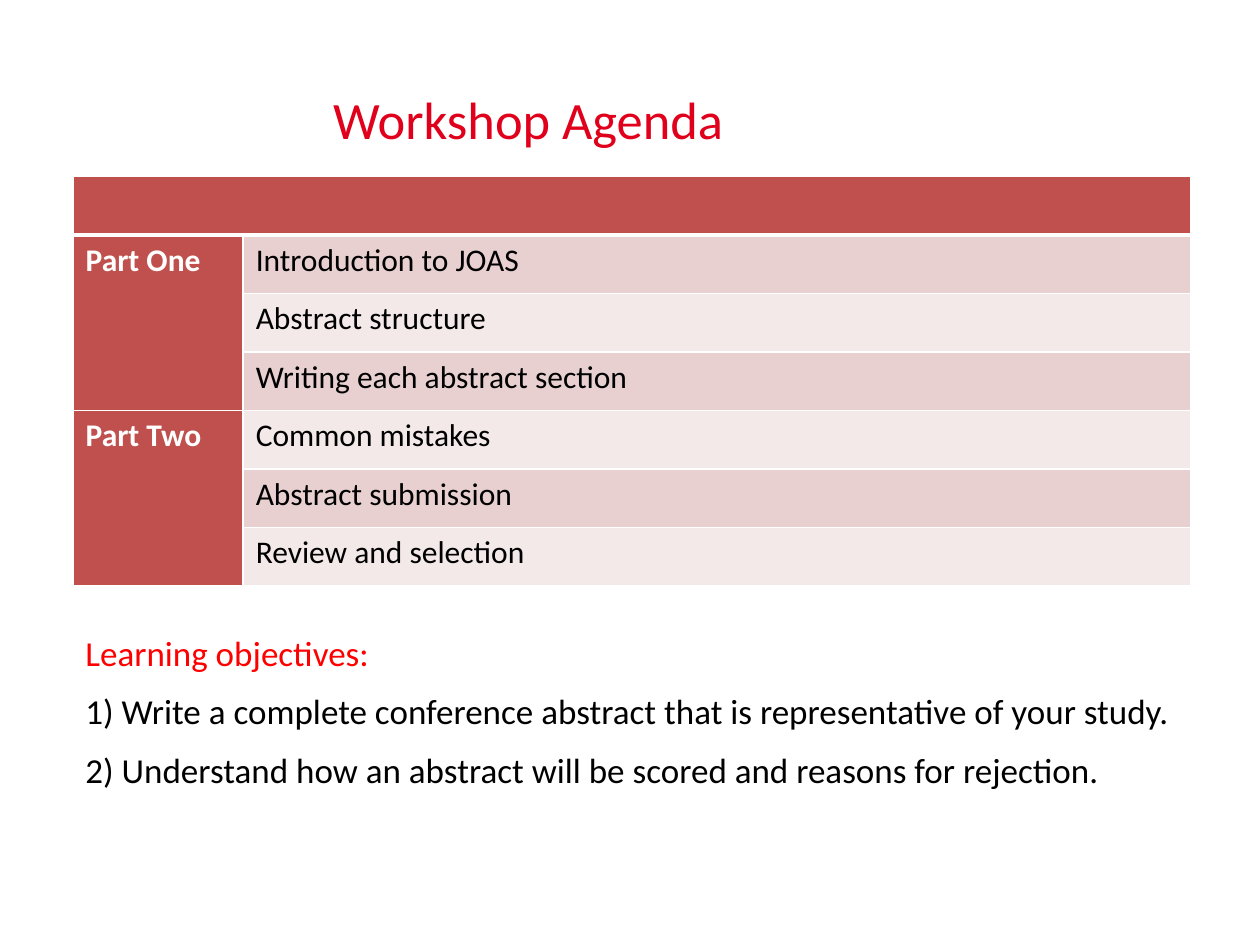
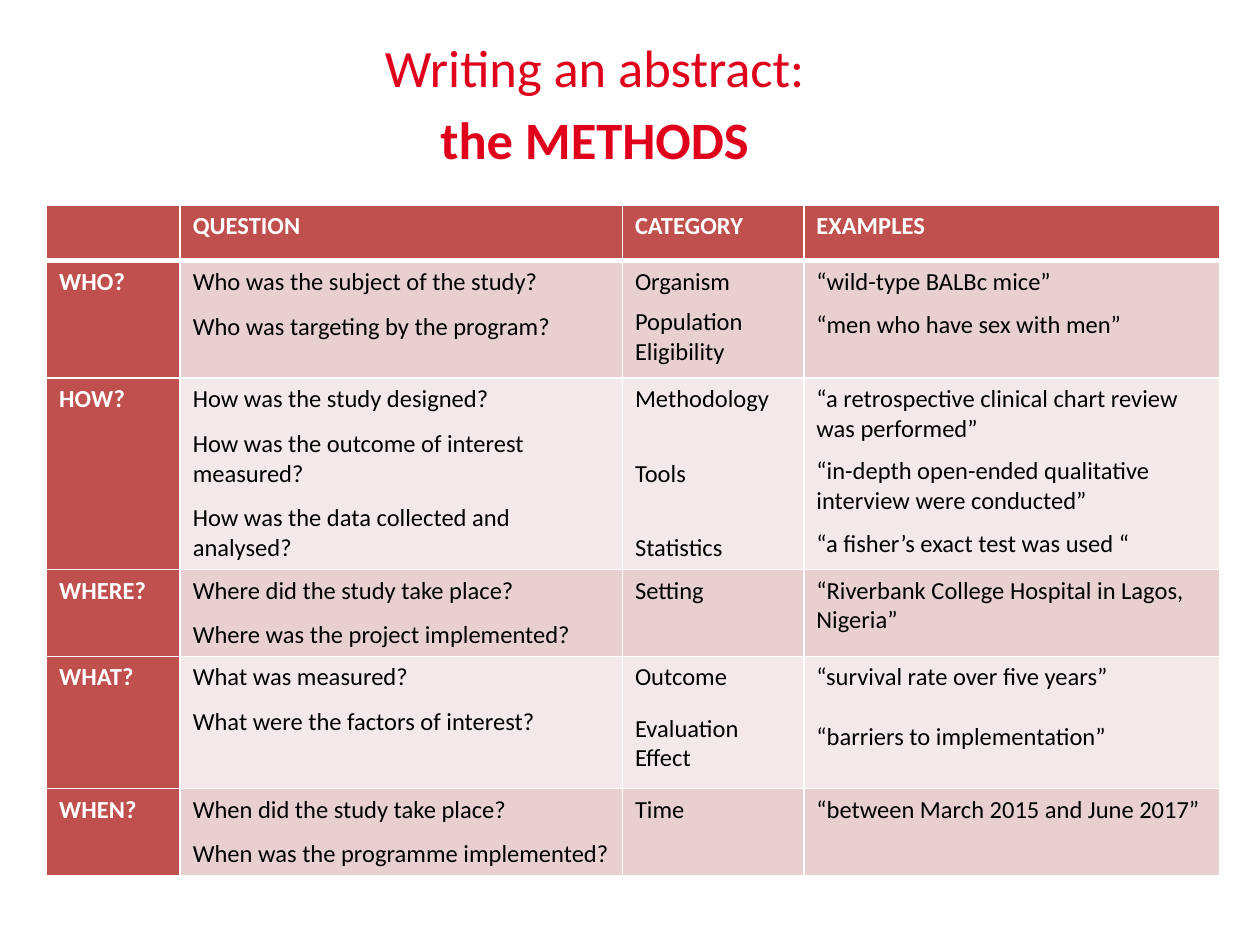
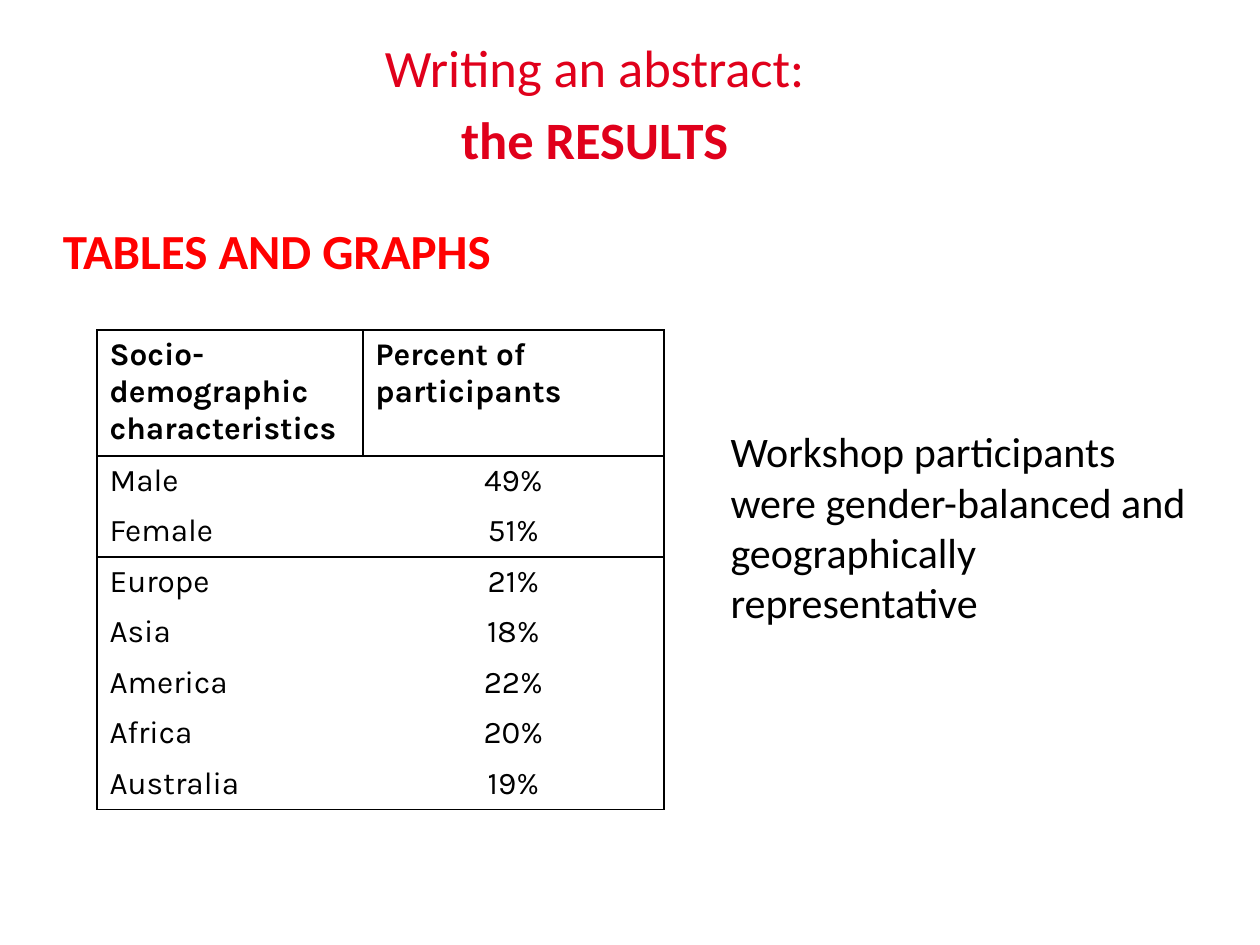
from lxml import etree
from pptx import Presentation
from pptx.dml.color import RGBColor
from pptx.enum.shapes import MSO_SHAPE
from pptx.enum.text import MSO_ANCHOR, PP_ALIGN
from pptx.oxml.ns import qn
from pptx.util import Inches, Pt

LEFT, MID = PP_ALIGN.LEFT, PP_ALIGN.CENTER
TOP, MIDDLE = MSO_ANCHOR.TOP, MSO_ANCHOR.MIDDLE
RECT = MSO_SHAPE.RECTANGLE
BLANK = 6

COLORS = {
    "title": "E0001B",
    "red": "FF0000",
    "head": "C0504D",
    "dark": "E8D0D0",
    "light": "F4E9E9",
    "white": "FFFFFF",
    "black": "000000",
}

PARTS = [
    ("Part One", ["Introduction to JOAS", "Abstract structure", "Writing each abstract section"]),
    ("Part Two", ["Common mistakes", "Abstract submission", "Review and selection"]),
]

GOALS = [
    "1) Write a complete conference abstract that is representative of your study.",
    "2) Understand how an abstract will be scored and reasons for rejection.",
]

HEADS = ["", "QUESTION", "CATEGORY", "EXAMPLES"]

METHODS = [
    ("WHO?",
     [("Who was the subject of the study?", 0), ("Who was targeting by the program?", 8.5)],
     [("Organism", 0), ("Population", 6), ("Eligibility", 0)],
     [("“wild-type BALBc mice”", 0), ("“men who have sex with men”", 7.3)]),
    ("HOW?",
     [("How was the study designed?", 0),
      ("How was the outcome of interest measured?", 8.5),
      ("How was the data collected and analysed?", 8.5)],
     [("Methodology", 0), ("Tools", 25.6), ("Statistics", 25.6)],
     [("“a retrospective clinical chart review was performed”", 0),
      ("“in-depth open-ended qualitative interview were conducted”", 7.3),
      ("“a fisher’s exact test was used “", 7.3)]),
    ("WHERE?",
     [("Where did the study take place?", 0), ("Where was the project implemented?", 8.5)],
     [("Setting", 0)],
     [("“Riverbank College Hospital in Lagos, Nigeria”", 0)]),
    ("WHAT?",
     [("What was measured?", 0), ("What were the factors of interest?", 8.5)],
     [("Outcome", 0), ("Evaluation", 12.2), ("Effect", 0)],
     [("“survival rate over five years”", 0), ("“barriers to implementation”", 17.1)]),
    ("WHEN?",
     [("When did the study take place?", 0), ("When was the programme implemented?", 8.5)],
     [("Time", 0)],
     [("“between March 2015 and June 2017”", 0)]),
]

SHARES = [
    [("Male", "49%"), ("Female", "51%")],
    [("Europe", "21%"), ("Asia", "18%"), ("America", "22%"), ("Africa", "20%"), ("Australia", "19%")],
]


def hue(name):
    """Return the named colour."""
    return RGBColor.from_string(COLORS[name])


def write(frame, text, size=18, color="black", bold=False, face="Calibri",
          align=LEFT, gap=0, lead=None):
    """Add one formatted paragraph to a text frame."""
    first = frame.paragraphs[0]
    para = frame.add_paragraph() if first.runs else first
    para.alignment = align
    para.space_before = Pt(gap)
    if lead:
        para.line_spacing = lead
    run = para.add_run()
    run.text = text
    font = run.font
    font.size, font.name, font.bold = Pt(size), face, bold
    font.color.rgb = hue(color)


def add_box(slide, left, top, width, height, anchor=TOP):
    """Add a wrapping text box and return its frame."""
    box = slide.shapes.add_textbox(Inches(left), Inches(top), Inches(width), Inches(height))
    frame = box.text_frame
    frame.word_wrap = True
    frame.vertical_anchor = anchor
    return frame


def add_title(slide, topic):
    """Add the two-line title shared by the writing slides."""
    frame = add_box(slide, -0.36, 0, 10.16, 1.63, MIDDLE)
    write(frame, "Writing an abstract:", size=30, color="title", align=MID)
    write(frame, topic, size=30, color="title", align=MID, bold=True, gap=4.9)


def add_grid(slide, left, top, cols, rows):
    """Add a plain table with the given column widths and row heights."""
    frame = slide.shapes.add_table(len(rows), len(cols), Inches(left), Inches(top),
                                   Inches(sum(cols)), Inches(sum(rows)))
    grid = frame.table
    grid.first_row = grid.horz_banding = False
    for col, width in zip(grid.columns, cols):
        col.width = Inches(width)
    for row, height in zip(grid.rows, rows):
        row.height = Inches(height)
    return grid


def edge(cell, color, **sides):
    """Set the widths of the cell borders L, R, T and B; zero hides one."""
    props = cell._tc.get_or_add_tcPr()
    for side in "LRTB":
        width = sides.get(side, 0)
        line = etree.SubElement(props, qn("a:ln" + side), w=str(Pt(width)))
        if width:
            fill = etree.SubElement(line, qn("a:solidFill"))
            etree.SubElement(fill, qn("a:srgbClr"), val=COLORS[color])
        else:
            etree.SubElement(line, qn("a:noFill"))


def paint(grid):
    """Give a table its red header, red first column and pink bands."""
    for r, row in enumerate(grid.rows):
        for c, cell in enumerate(row.cells):
            edge(cell, "white", L=1, R=1, T=3 if r == 1 else 1, B=1 if r else 3)
            band = "dark" if r % 2 else "light"
            cell.fill.solid()
            cell.fill.fore_color.rgb = hue("head" if r == 0 or c == 0 else band)


def add_agenda(slide):
    """Add the table of workshop parts."""
    grid = add_grid(slide, 0.58, 1.4, [1.35, 7.52], [3.25 / 7] * 7)
    paint(grid)
    grid.cell(0, 0).merge(grid.cell(0, 1))
    row = 1
    for part, topics in PARTS:
        head = grid.cell(row, 0)
        head.merge(grid.cell(row + len(topics) - 1, 0))
        write(head.text_frame, part, color="white", bold=True)
        for topic in topics:
            write(grid.cell(row, 1).text_frame, topic)
            row += 1


def add_goals(slide):
    """Add the panel of learning objectives."""
    panel = slide.shapes.add_shape(RECT, Inches(0.58), Inches(4.96), Inches(9.34), Inches(1.45))
    panel.shadow.inherit = False
    panel.fill.solid()
    panel.fill.fore_color.rgb = hue("white")
    panel.line.fill.background()
    frame = panel.text_frame
    frame.word_wrap = True
    frame.vertical_anchor = TOP
    write(frame, "Learning objectives:", size=20, color="red")
    for goal in GOALS:
        write(frame, goal, size=20, gap=9.6)


def add_methods(slide):
    """Add the table of questions that the methods answer."""
    grid = add_grid(slide, 0.37, 1.63, [1.06, 3.51, 1.44, 3.3],
                    [0.44, 0.93, 1.52, 0.69, 1.05, 0.69])
    paint(grid)
    for c, head in enumerate(HEADS):
        if head:
            write(grid.cell(0, c).text_frame, head, size=14, color="white", bold=True)
    for r, (word, *lists) in enumerate(METHODS, 1):
        write(grid.cell(r, 0).text_frame, word, size=14, color="white", bold=True)
        for c, lines in enumerate(lists, 1):
            for text, gap in lines:
                write(grid.cell(r, c).text_frame, text, size=14, gap=gap)


def add_shares(slide):
    """Add the table of participant shares, ruled by group."""
    count = sum(len(group) for group in SHARES)
    grid = add_grid(slide, 0.77, 2.62, [2.11, 2.39], [0.98] + [0.39] * count)
    for c, head in enumerate(["Socio-demographic characteristics", "Percent of participants"]):
        cell = grid.cell(0, c)
        edge(cell, "black", L=1, R=1, T=1, B=1)
        cell.fill.background()
        write(cell.text_frame, head, face="Karla", bold=True)
    row = 1
    for group in SHARES:
        for i, pair in enumerate(group):
            for c, text in enumerate(pair):
                cell = grid.cell(row, c)
                edge(cell, "black", L=1 - c, R=c, T=int(i == 0), B=int(i == len(group) - 1))
                cell.fill.background()
                write(cell.text_frame, text, face="Karla", align=MID if c else LEFT)
            row += 1


def main():
    """Build the three slides and save them."""
    deck = Presentation()
    deck.slide_width, deck.slide_height = Inches(10), Inches(7.5)
    agenda, methods, results = [deck.slides.add_slide(deck.slide_layouts[BLANK]) for _ in range(3)]

    write(add_box(agenda, -0.84, 0.48, 10.16, 0.92, MIDDLE), "Workshop Agenda ",
          size=30, color="title", align=MID)
    add_agenda(agenda)
    add_goals(agenda)

    add_title(methods, "the METHODS")
    add_methods(methods)

    add_shares(results)
    write(add_box(results, 5.7, 3.33, 3.84, 1.72),
          "Workshop participants were gender-balanced and geographically representative", size=24)
    write(add_box(results, 0.4, 1.47, 9.33, 0.73), "TABLES AND GRAPHS",
          size=28, color="red", bold=True, lead=1.5)
    add_title(results, "the RESULTS")

    deck.save("out.pptx")


if __name__ == "__main__":
    main()
